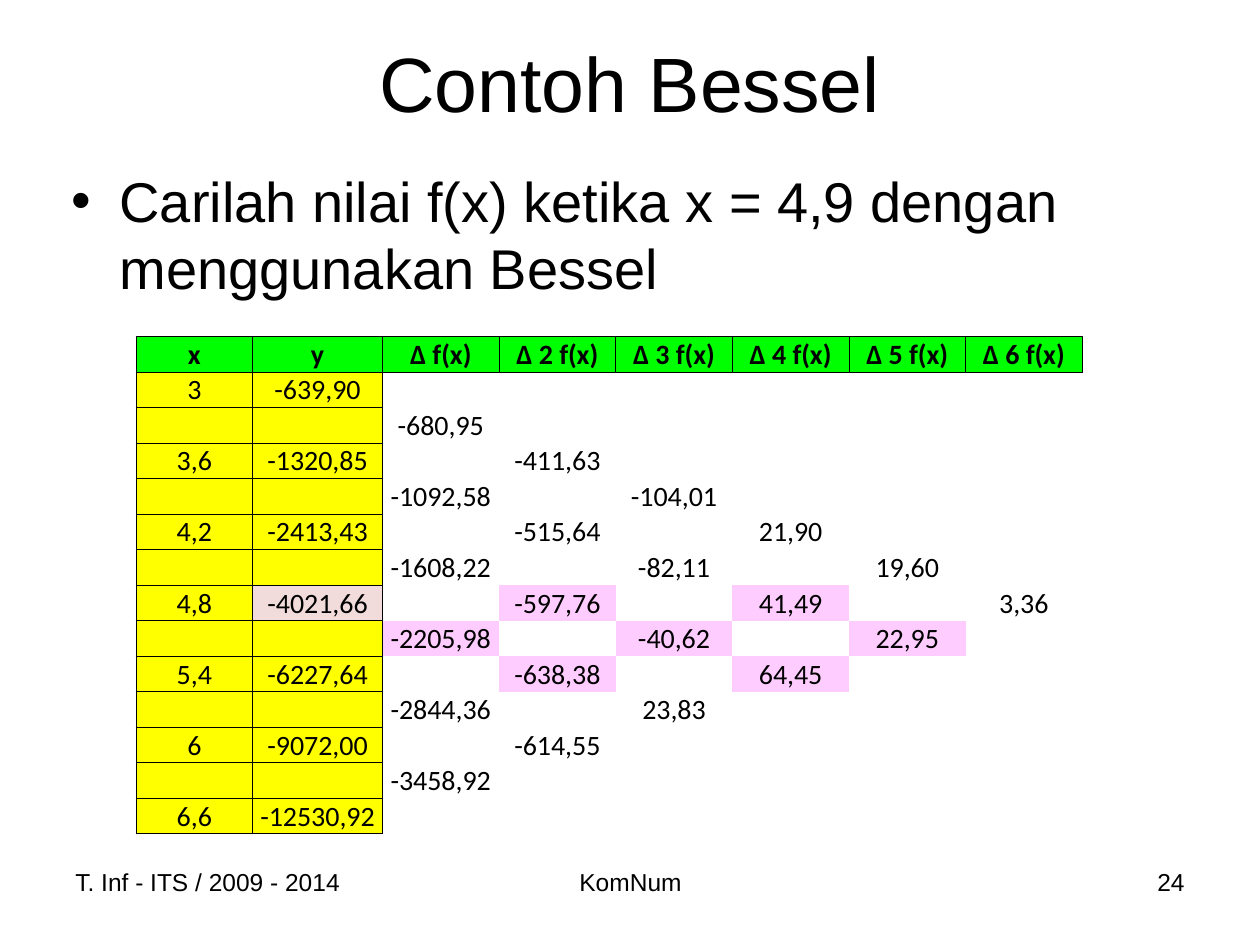
from lxml.etree import SubElement
from pptx import Presentation
from pptx.dml.color import RGBColor
from pptx.enum.text import MSO_ANCHOR, PP_ALIGN
from pptx.oxml.ns import qn
from pptx.util import Inches, Pt

COLORS = {
    "black": "000000",
    "header": "00FF00",
    "points": "FFFF00",
    "start": "F2DCDB",
    "used": "FFCCFF",
}

HEADERS = ["x", "y", "Δ f(x)"] + [f"Δ {order} f(x)" for order in range(2, 7)]

# One list per table column, from x and y to the sixth difference
COLUMNS = [
    ["3", "3,6", "4,2", "4,8", "5,4", "6", "6,6"],
    ["-639,90", "-1320,85", "-2413,43", "-4021,66", "-6227,64", "-9072,00", "-12530,92"],
    ["-680,95", "-1092,58", "-1608,22", "-2205,98", "-2844,36", "-3458,92"],
    ["-411,63", "-515,64", "-597,76", "-638,38", "-614,55"],
    ["-104,01", "-82,11", "-40,62", "23,83"],
    ["21,90", "41,49", "64,45"],
    ["19,60", "22,95"],
    ["3,36"],
]
ROW_COUNT = 14
TABLE_WIDTH, TABLE_HEIGHT = Inches(7.51), Inches(3.95)
START_CELL = (7, 1)
USED_CELLS = {(7, 3), (7, 5), (8, 2), (8, 4), (8, 6), (9, 3), (9, 5)}
NO_STYLE = "{2D5ABB26-0587-4C30-8999-92F81FD0307C}"


def color(name):
    return RGBColor.from_string(COLORS[name])


def add_run(para, text, size, font, bold=False):
    span = para.add_run()
    span.text = text
    span.font.size = Pt(size)
    span.font.name = font
    span.font.bold = bold
    span.font.color.rgb = color("black")


def add_text(page, area, text, size, align=PP_ALIGN.LEFT, anchor=MSO_ANCHOR.TOP):
    box = page.shapes.add_textbox(*[Inches(length) for length in area])
    box.text_frame.word_wrap = True
    box.text_frame.vertical_anchor = anchor
    para = box.text_frame.paragraphs[0]
    para.alignment = align
    add_run(para, text, size, "Arial")
    return box


def add_bullet(box, indent):
    properties = box.text_frame.paragraphs[0]._p.get_or_add_pPr()
    properties.set("marL", str(Inches(indent)))
    properties.set("indent", str(-Inches(indent)))
    SubElement(properties, qn("a:buFont"), typeface="Arial")
    SubElement(properties, qn("a:buChar"), char="•")


def add_borders(cell):
    properties = cell._tc.get_or_add_tcPr()
    for side in ("L", "R", "T", "B"):
        line = SubElement(properties, qn(f"a:ln{side}"), w=str(Pt(0.5)))
        fill = SubElement(line, qn("a:solidFill"))
        SubElement(fill, qn("a:srgbClr"), val=COLORS["black"])


def cell_text(row, column):
    """Each column starts one row lower and fills every second row."""
    if row == 0:
        return HEADERS[column]
    index, gap = divmod(row - max(column, 1), 2)
    values = COLUMNS[column]
    return values[index] if gap == 0 and 0 <= index < len(values) else ""


def cell_fill(row, column):
    if row == 0:
        return "header"
    if (row, column) == START_CELL:
        return "start"
    if (row, column) in USED_CELLS:
        return "used"
    return "points" if column < 2 else None


def format_cell(cell, row, column):
    cell.margin_left = cell.margin_right = cell.margin_top = Inches(0.01)
    cell.margin_bottom = 0
    cell.vertical_anchor = MSO_ANCHOR.BOTTOM
    if row == 0 or column < 2:
        add_borders(cell)
    fill = cell_fill(row, column)
    if fill:
        cell.fill.solid()
        cell.fill.fore_color.rgb = color(fill)
    else:
        cell.fill.background()
    para = cell.text_frame.paragraphs[0]
    para.alignment = PP_ALIGN.CENTER
    text = cell_text(row, column)
    if text:
        add_run(para, text, 16, "Calibri", bold=row == 0)
    else:
        # Keeps empty cells from stretching their row
        SubElement(para._p, qn("a:endParaRPr"), sz="1600")


def add_difference_table(page):
    frame = page.shapes.add_table(ROW_COUNT, len(COLUMNS), Inches(1.08), Inches(2.67),
                                  TABLE_WIDTH, TABLE_HEIGHT)
    table = frame.table
    table.first_row = table.horz_banding = False
    table._tbl.tblPr.find(qn("a:tableStyleId")).text = NO_STYLE
    y_width = Inches(1.03)
    for index, column in enumerate(table.columns):
        column.width = y_width if index == 1 else (TABLE_WIDTH - y_width) // 7
    for row_index, row in enumerate(table.rows):
        row.height = TABLE_HEIGHT // ROW_COUNT
        for column_index, cell in enumerate(row.cells):
            format_cell(cell, row_index, column_index)


def main():
    deck = Presentation()
    deck.slide_width, deck.slide_height = Inches(10), Inches(7.5)
    page = deck.slides.add_slide(deck.slide_layouts[6])

    # Title and task
    add_text(page, (0.5, 0.02, 9, 1.25), "Contoh Bessel", 44,
             PP_ALIGN.CENTER, MSO_ANCHOR.MIDDLE)
    task = add_text(page, (0.47, 1.27, 9, 4.95),
                    "Carilah nilai f(x) ketika x = 4,9 dengan menggunakan Bessel", 32)
    add_bullet(task, 0.38)

    # Footer
    add_text(page, (0.5, 6.83, 2.33, 0.52), "T. Inf - ITS / 2009 - 2014", 14)
    add_text(page, (3.42, 6.83, 3.17, 0.52), "KomNum", 14, PP_ALIGN.CENTER)
    add_text(page, (7.17, 6.83, 2.33, 0.52), "24", 14, PP_ALIGN.RIGHT)

    # Difference table
    add_difference_table(page)

    deck.save("out.pptx")


if __name__ == "__main__":
    main()
